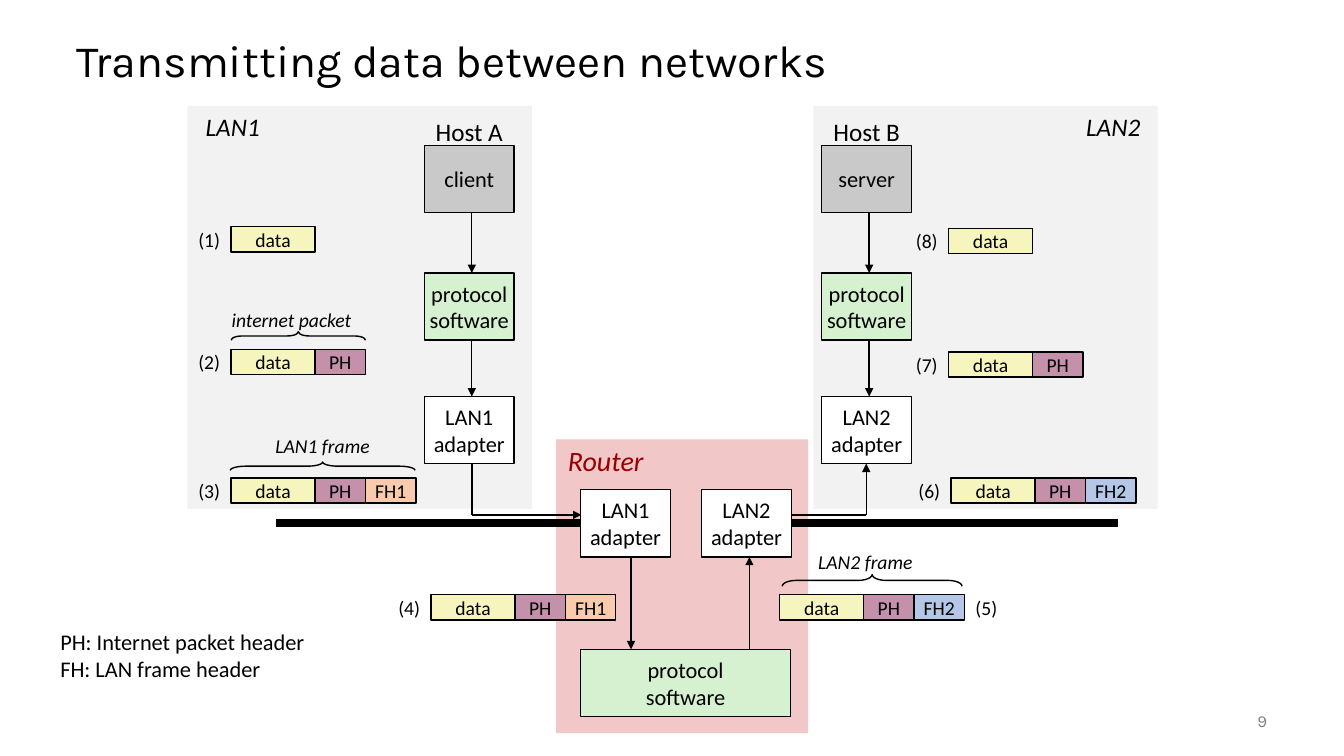
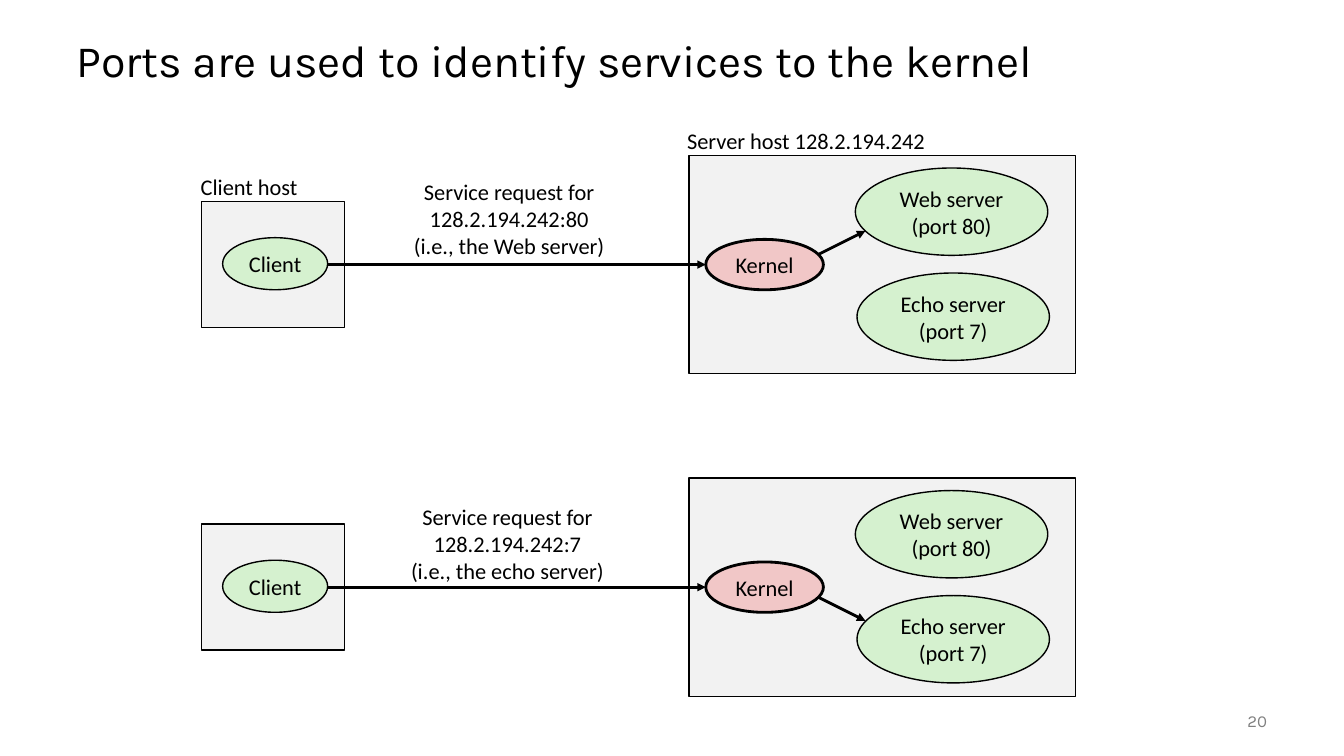
"""Build two slides on moving data between networks and on service ports."""
from dataclasses import dataclass

from lxml.etree import SubElement
from pptx import Presentation
from pptx.dml.color import RGBColor
from pptx.enum.shapes import MSO_CONNECTOR, MSO_SHAPE
from pptx.enum.text import MSO_ANCHOR, MSO_AUTO_SIZE, PP_ALIGN
from pptx.oxml.ns import qn
from pptx.presentation import Presentation as Deck
from pptx.shapes.autoshape import Shape
from pptx.slide import Slide
from pptx.text.text import TextFrame
from pptx.util import Emu, Inches, Pt

COLUMNS, ROWS = 160, 90
SLIDE_WIDTH, SLIDE_HEIGHT = Inches(13.33), Inches(7.5)
CELL = SLIDE_HEIGHT / ROWS

BLACK, WHITE, PANEL = "000000", "FFFFFF", "F2F2F2"
GREEN, PINK, GRAY = "D5F1CF", "F1C7C7", "C9C9C9"
ROUTER_RED, NUMBER_GRAY = "990000", "808080"
BOX_WIDTH, BOX_HEIGHT = 10.7, 8
HOST_TOPS = (17.3, 32.5, 47.2)
CABLE_ROW, WIRE_ROW = 62.3, 61.3
PACKET_HEIGHT, NUMBER_WIDTH, NUMBER_HEIGHT = 3, 5.2, 4
SCENE_STEP = 38.4


@dataclass(frozen=True)
class Area:
    """Place on the grid, in columns and rows."""
    left: float
    top: float
    width: float
    height: float

    def emu(self) -> tuple[Emu, ...]:
        """Give the four lengths in EMU."""
        return tuple(grid(n) for n in (self.left, self.top, self.width, self.height))


@dataclass(frozen=True)
class Lettering:
    """Look of a piece of text."""
    size: float = 16
    color: str = BLACK
    italic: bool = False
    face: str = "Calibri"
    align: PP_ALIGN = PP_ALIGN.CENTER
    spacing: float = 1.0


@dataclass(frozen=True)
class Host:
    """One LAN with its host."""
    name: str
    program: str
    network: str
    left: float
    panel_left: float
    network_left: float


@dataclass(frozen=True)
class Packet:
    """Numbered row of packet fields."""
    number: int
    left: float
    top: float
    fields: tuple[str, ...]
    number_after: bool = False


@dataclass(frozen=True)
class Brace:
    """Captioned brace above a packet."""
    caption: str
    center: float
    middle: float
    length: float
    depth: float
    bend: float
    caption_center: float
    caption_top: float


@dataclass(frozen=True)
class Request:
    """One client's request to a port."""
    text: str
    left: float
    top: float
    target_start: float
    target_end: float


BODY = Lettering()
LEFT = Lettering(align=PP_ALIGN.LEFT)
SMALL = Lettering(14)
CAPTION = Lettering(14, italic=True)
HOST_NAME = Lettering(18)
NETWORK_NAME = Lettering(18, italic=True)
ROUTER_NAME = Lettering(20, ROUTER_RED, True)
TITLE = Lettering(32, face="Karla", align=PP_ALIGN.LEFT, spacing=0.9)
PAGE = Lettering(12, NUMBER_GRAY, face="Karla", align=PP_ALIGN.RIGHT)

FIELDS = {"data": (10, "F6F5BD"), "PH": (6, "C490AA"),
          "FH1": (6, "F8CBAD"), "FH2": (6, "B4C7E7")}
HOSTS = (
    Host("Host A", "client", "LAN1", 50.5, 22.3, 23.2),
    Host("Host B", "server", "LAN2", 97.8, 96.8, 128),
)
PACKETS = (
    Packet(1, 27.5, 27, ("data",)),
    Packet(2, 27.5, 41.6, ("data", "PH")),
    Packet(3, 27.5, 56.9, ("data", "PH", "FH1")),
    Packet(4, 51.3, 70.8, ("data", "PH", "FH1")),
    Packet(5, 92.8, 70.8, ("data", "PH", "FH2"), True),
    Packet(6, 113.2, 56.9, ("data", "PH", "FH2")),
    Packet(7, 112.9, 41.9, ("data", "PH")),
    Packet(8, 112.9, 27.2, ("data",)),
)
BRACES = (
    Brace("internet packet", 35.5, 40, 16, 1, 1.33, 34.7, 36),
    Brace("LAN1 frame", 38.4, 55.5, 22, 1, 1.83, 38.4, 51),
    Brace("LAN2 frame", 103.8, 69.1, 21.4, 1.4, 1.19, 103, 64.8),
)
REQUESTS = (
    Request("Service request for\n128.2.194.242:80\n(i.e., the Web server)",
            43.2, 20.6, 30.5, 27.5),
    Request("Service request for\n128.2.194.242:7\n(i.e., the echo server)",
            43, 20.9, 32.5, 35.5),
)


def grid(cells: float) -> Emu:
    """Turn grid cells into EMU."""
    return Emu(round(cells * CELL))


def ink(code: str) -> RGBColor:
    """Turn a hex string into a colour."""
    return RGBColor.from_string(code)


def apply(target: object, formats: dict[str, object]) -> None:
    """Set each format value on the target."""
    for name, value in formats.items():
        setattr(target, name, value)


def write(frame: TextFrame, text: str, look: Lettering, anchor: MSO_ANCHOR = MSO_ANCHOR.MIDDLE,
          wrap: bool = False, inset: tuple[float, float] = (0.1, 0.05)) -> None:
    """Fill a text frame with formatted paragraphs."""
    side, edge = (Inches(n) for n in inset)
    apply(frame, {"text": text, "word_wrap": wrap, "vertical_anchor": anchor,
                  "auto_size": MSO_AUTO_SIZE.NONE, "margin_left": side,
                  "margin_right": side, "margin_top": edge, "margin_bottom": edge})
    for paragraph in frame.paragraphs:
        apply(paragraph, {"alignment": look.align, "line_spacing": look.spacing})
        for run in paragraph.runs:
            apply(run.font, {"name": look.face, "size": Pt(look.size), "italic": look.italic})
            run.font.color.rgb = ink(look.color)


def label(slide: Slide, area: Area, text: str, look: Lettering = BODY,
          anchor: MSO_ANCHOR = MSO_ANCHOR.MIDDLE, wrap: bool = False) -> None:
    """Add free text."""
    write(slide.shapes.add_textbox(*area.emu()).text_frame, text, look, anchor, wrap)


def block(slide: Slide, area: Area, fill: str | None, text: str = "", look: Lettering = BODY,
          outline: float = 1, form: MSO_SHAPE = MSO_SHAPE.RECTANGLE) -> Shape:
    """Add a preset shape with centred text."""
    shape = slide.shapes.add_shape(form, *area.emu())
    shape.shadow.inherit = False
    if fill:
        shape.fill.solid()
        shape.fill.fore_color.rgb = ink(fill)
    else:
        shape.fill.background()
    if outline:
        shape.line.color.rgb = ink(BLACK)
        shape.line.width = Pt(outline)
    else:
        shape.line.fill.background()
    if text:
        write(shape.text_frame, text, look, inset=(0, 0))
    return shape


def connect(slide: Slide, start: tuple[float, float], end: tuple[float, float],
            weight: float = 1, arrow: bool = True) -> None:
    """Add a straight line or arrow."""
    link = slide.shapes.add_connector(MSO_CONNECTOR.STRAIGHT, *(grid(n) for n in start + end))
    link.line.color.rgb = ink(BLACK)
    link.line.width = Pt(weight)
    properties = link.element.spPr
    if arrow:
        SubElement(properties.find(qn("a:ln")), qn("a:tailEnd"), type="triangle")
    SubElement(properties, qn("a:effectLst"))


def start_slide(deck: Deck, title: str, number: int) -> Slide:
    """Add a slide with its title and number."""
    slide = deck.slides.add_slide(deck.slide_layouts.get_by_name("Title Only"))
    heading = slide.shapes.title
    places = Area(7.9, 3, 144, 9).emu()
    apply(heading, dict(zip(("left", "top", "width", "height"), places)))
    write(heading.text_frame, title, TITLE, wrap=True)
    label(slide, Area(140, 83.4, 12, 4.8), str(number), PAGE, wrap=True)
    return slide


def draw_host(slide: Slide, host: Host) -> None:
    """Draw a LAN panel and the host's stack."""
    block(slide, Area(host.panel_left, 12.6, 41, 48), PANEL, outline=0)
    label(slide, Area(host.network_left, 12.6, 9, 4.8), host.network, NETWORK_NAME)
    label(slide, Area(host.left, 13.2, BOX_WIDTH, 4.8), host.name, HOST_NAME)
    layers = ((host.program, GRAY), ("protocol\nsoftware", GREEN),
              (f"{host.network}\nadapter", WHITE))
    for top, (text, fill) in zip(HOST_TOPS, layers):
        block(slide, Area(host.left, top, BOX_WIDTH, BOX_HEIGHT), fill, text)
    for upper, lower in zip(HOST_TOPS, HOST_TOPS[1:]):
        column = host.left + 5.65
        connect(slide, (column, upper + BOX_HEIGHT), (column, lower))


def draw_router(slide: Slide) -> None:
    """Draw the router and its links to both LANs."""
    block(slide, Area(66.2, 52.3, 30, 35), PINK, outline=0)
    label(slide, Area(66.2, 52.1, 11.8, 5.3), "Router", ROUTER_NAME)
    for left in (32.9, 94.1):
        connect(slide, (left, CABLE_ROW), (left + 39, CABLE_ROW), 6, False)
    connect(slide, (56.2, 55.2), (56.2, WIRE_ROW), arrow=False)
    connect(slide, (56.2, WIRE_ROW), (69.2, WIRE_ROW))
    connect(slide, (94.1, WIRE_ROW), (103.1, WIRE_ROW), arrow=False)
    connect(slide, (103.1, WIRE_ROW), (103.1, 55.2))
    for left, network in ((69.1, "LAN1"), (83.5, "LAN2")):
        block(slide, Area(left, 58.3, BOX_WIDTH, BOX_HEIGHT), WHITE, f"{network}\nadapter")
    block(slide, Area(69.1, 77.3, 25, BOX_HEIGHT), GREEN, "protocol\nsoftware")
    connect(slide, (75.1, 66.3), (75.1, 77.3))
    connect(slide, (89.2, 77.3), (89.2, 66.3))


def draw_packet(slide: Slide, packet: Packet) -> None:
    """Draw a packet's fields and number."""
    left = packet.left
    for name in packet.fields:
        width, fill = FIELDS[name]
        block(slide, Area(left, packet.top, width, PACKET_HEIGHT), fill, name, SMALL)
        left += width
    number_left = left if packet.number_after else packet.left - NUMBER_WIDTH
    number_top = packet.top + (PACKET_HEIGHT - NUMBER_HEIGHT) / 2
    label(slide, Area(number_left, number_top, NUMBER_WIDTH, NUMBER_HEIGHT),
          f"({packet.number})", SMALL)


def draw_brace(slide: Slide, brace: Brace) -> None:
    """Draw a brace pointing up to its caption."""
    area = Area(brace.center - brace.depth / 2, brace.middle - brace.length / 2,
                brace.depth, brace.length)
    curve = block(slide, area, None, form=MSO_SHAPE.LEFT_BRACE)
    curve.rotation = 90
    curve.adjustments[0] = brace.bend
    label(slide, Area(brace.caption_center - 8.5, brace.caption_top, 17, 4.1),
          brace.caption, CAPTION)


def draw_request(slide: Slide, request: Request, shift: float) -> None:
    """Draw a client, a server and the request between them."""
    oval = MSO_SHAPE.OVAL
    block(slide, Area(24, 24 + shift, 17, 15), PANEL)
    block(slide, Area(82, 18.5 + shift, 46, 26), PANEL)
    block(slide, Area(101.8, 20 + shift, 22.9, 10.4), GREEN, "Web server\n(port 80)", form=oval)
    block(slide, Area(102, 32.5 + shift, 22.9, 10.4), GREEN, "Echo server\n(port 7)", form=oval)
    connect(slide, (39, 31.5 + shift), (84, 31.5 + shift), 2)
    connect(slide, (97, request.target_start + shift), (103, request.target_end + shift), 2)
    block(slide, Area(84, 28.5 + shift, 14, 6), PINK, "Kernel", outline=2, form=oval)
    block(slide, Area(26.5, 28.3 + shift, 12.5, 6.2), GREEN, "Client", form=oval)
    label(slide, Area(request.left, request.top + shift, 34.8, 10.8), request.text,
          anchor=MSO_ANCHOR.TOP, wrap=True)


def main() -> None:
    """Build and save the deck."""
    deck = Presentation()
    apply(deck, {"slide_width": SLIDE_WIDTH, "slide_height": SLIDE_HEIGHT})

    networks = start_slide(deck, "Transmitting data between networks", 9)
    for host in HOSTS:
        draw_host(networks, host)
    draw_router(networks)
    for packet in PACKETS:
        draw_packet(networks, packet)
    for brace in BRACES:
        draw_brace(networks, brace)
    label(networks, Area(6, 74.2, 32.4, 7.7),
          "PH: Internet packet header\nFH: LAN frame header", LEFT, MSO_ANCHOR.TOP)

    ports = start_slide(deck, "Ports are used to identify services to the kernel", 20)
    for index, request in enumerate(REQUESTS):
        draw_request(ports, request, index * SCENE_STEP)
    label(ports, Area(22.7, 20, 14.3, 4.4), "Client host", LEFT, MSO_ANCHOR.TOP)
    label(ports, Area(80.6, 14.5, 31.6, 4.4), "Server host 128.2.194.242", LEFT, MSO_ANCHOR.TOP)
    deck.save("out.pptx")


if __name__ == "__main__":
    main()
